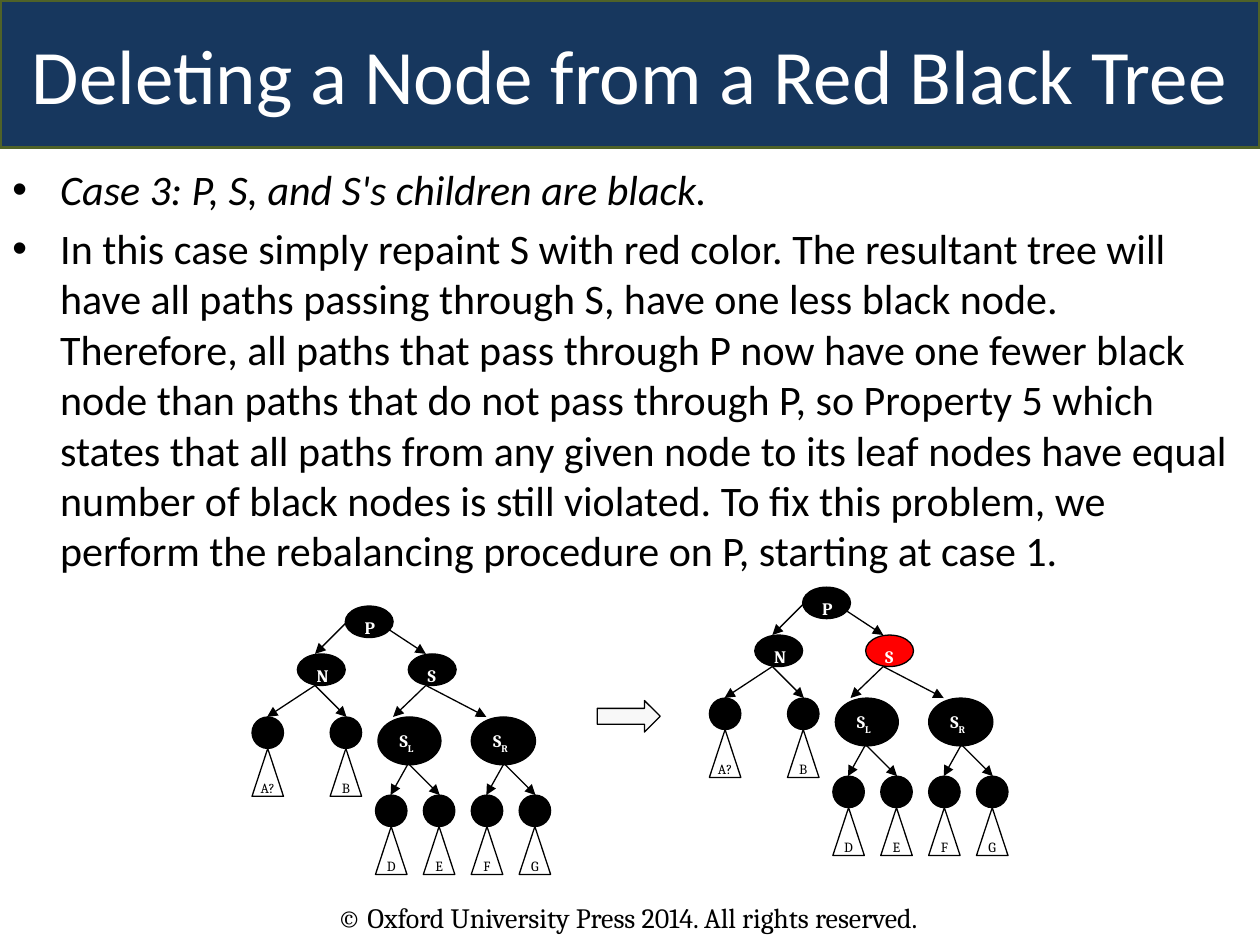
"""Build a slide on case 3 of deleting a node from a red black tree."""
from typing import NamedTuple

from lxml import etree
from pptx import Presentation
from pptx.dml.color import RGBColor
from pptx.enum.shapes import MSO_CONNECTOR, MSO_SHAPE
from pptx.enum.text import MSO_ANCHOR, PP_ALIGN
from pptx.oxml.ns import qn
from pptx.util import Inches, Pt

BLACK = RGBColor(0x00, 0x00, 0x00)
WHITE = RGBColor(0xFF, 0xFF, 0xFF)
RED = RGBColor(0xFF, 0x00, 0x00)
NAVY = RGBColor(0x17, 0x37, 0x5E)
OLIVE = RGBColor(0x4F, 0x62, 0x28)
PALE = RGBColor(0xF8, 0xF8, 0xF8)

OVAL = MSO_SHAPE.OVAL
TRIANGLE = MSO_SHAPE.FLOWCHART_EXTRACT
ARROW = MSO_SHAPE.RIGHT_ARROW
STRAIGHT = MSO_CONNECTOR.STRAIGHT
TOP = MSO_ANCHOR.TOP
MIDDLE = MSO_ANCHOR.MIDDLE
BOTTOM = MSO_ANCHOR.BOTTOM
LEFT = PP_ALIGN.LEFT
CENTER = PP_ALIGN.CENTER

TITLE_ONLY = 5
LEAF_SIZE = 0.25
TRIANGLE_HEIGHT = 0.38


class Node(NamedTuple):
    left: float
    top: float
    width: float
    height: float
    label: str
    subscript: str = ""


class Leaf(NamedTuple):
    left: float
    top: float
    label: str


class Edges(NamedTuple):
    x: float
    y: float
    end_y: float
    end_xs: tuple[float, ...]


NODES = (
    Node(0.74, 0, 0.38, 0.25, "P"),
    Node(0.36, 0.38, 0.38, 0.25, "N"),
    Node(1.24, 0.38, 0.38, 0.25, "S"),
    Node(1, 0.88, 0.5, 0.38, "S", "L"),
    Node(1.74, 0.88, 0.51, 0.38, "S", "R"),
)
LEAVES = (
    Leaf(0, 0.88, "A?"),
    Leaf(0.62, 0.88, "B"),
    *(Leaf(0.98 + 0.38 * index, 1.5, label) for index, label in enumerate("DEFG")),
)
EDGES = (
    Edges(0.75, 0.13, 0.38, (0.5,)),
    Edges(1, 0.13, 0.38, (1.38,)),
    Edges(0.5, 0.63, 0.88, (0.12, 0.75)),
    Edges(1.38, 0.63, 0.88, (1.12, 1.86)),
    Edges(1.24, 1.25, 1.5, (1.1, 1.49)),
    Edges(2, 1.25, 1.5, (1.86, 2.25)),
)
BULLETS = (
    ("Case 3: P, S, and S's children are black.", True),
    ("In this case simply repaint S with red color. The resultant tree will have all "
     "paths passing through S, have one less black node. Therefore, all paths that pass "
     "through P now have one fewer black node than paths that do not pass through P, so "
     "Property 5 which states that all paths from any given node to its leaf nodes have "
     "equal number of black nodes is still violated. To fix this problem, we perform the "
     "rebalancing procedure on P, starting at case 1.", False),
)


def add_text(paragraph, text: str, *, size: float, face: str, color: RGBColor = BLACK,
             bold: bool = False, italic: bool = False, align=LEFT, baseline: int = 0) -> None:
    """Append one formatted span to a paragraph."""
    paragraph.alignment = align
    span = paragraph.add_run()
    span.text = text
    font = span.font
    font.size, font.name, font.bold, font.italic = Pt(size), face, bold, italic
    font.color.rgb = color
    if baseline:
        font._element.set("baseline", str(baseline * 1000))


def add_figure(page, kind, left: float, top: float, width: float, height: float,
               fill: RGBColor):
    """Add a filled shape with a thin black outline."""
    shape = page.shapes.add_shape(
        kind, Inches(left), Inches(top), Inches(width), Inches(height))
    shape.shadow.inherit = False
    shape.fill.solid()
    shape.fill.fore_color.rgb = fill
    shape.line.color.rgb = BLACK
    shape.line.width = Pt(0.75)
    shape.text_frame.vertical_anchor = TOP
    return shape


def add_arrow(page, start_x: float, start_y: float, end_x: float, end_y: float) -> None:
    """Add a thin black line with an arrowhead at its end."""
    line = page.shapes.add_connector(
        STRAIGHT, Inches(start_x), Inches(start_y), Inches(end_x), Inches(end_y))
    line.line.color.rgb = BLACK
    line.line.width = Pt(0.75)
    etree.SubElement(line.line._get_or_add_ln(), qn("a:tailEnd"), type="triangle")
    etree.SubElement(line._element.spPr, qn("a:effectLst"))


def add_leaf(page, left: float, top: float, label: str) -> None:
    """Draw a black circle above a triangle whose label stays on one line."""
    add_figure(page, OVAL, left, top, LEAF_SIZE, LEAF_SIZE, BLACK)
    triangle = add_figure(
        page, TRIANGLE, left, top + LEAF_SIZE, LEAF_SIZE, TRIANGLE_HEIGHT, WHITE)
    frame = triangle.text_frame
    frame.word_wrap = False
    frame.vertical_anchor = BOTTOM
    frame.margin_left = frame.margin_right = frame.margin_top = frame.margin_bottom = 0
    add_text(frame.paragraphs[0], label, size=8, face="Cambria", align=CENTER)


def add_tree(page, left: float, top: float, sibling_color: RGBColor) -> None:
    """Draw the whole tree with its sibling node S in the given colour."""
    for edges in EDGES:
        for end_x in edges.end_xs:
            add_arrow(page, left + edges.x, top + edges.y, left + end_x, top + edges.end_y)
    for node in NODES:
        is_sibling = node.label == "S" and not node.subscript
        oval = add_figure(page, OVAL, left + node.left, top + node.top, node.width,
                          node.height, sibling_color if is_sibling else BLACK)
        paragraph = oval.text_frame.paragraphs[0]
        style = {"size": 10, "face": "Cambria", "color": WHITE, "bold": True}
        add_text(paragraph, node.label, **style)
        if node.subscript:
            add_text(paragraph, node.subscript, baseline=-25, **style)
    for leaf in LEAVES:
        add_leaf(page, left + leaf.left, top + leaf.top, leaf.label)


def add_title(page) -> None:
    """Format the title placeholder as a banner across the top."""
    title = page.shapes.title
    title.left, title.top = Inches(0), Inches(0)
    title.width, title.height = Inches(10), Inches(1.17)
    title.fill.solid()
    title.fill.fore_color.rgb = NAVY
    title.line.color.rgb = OLIVE
    title.line.width = Pt(2)
    title.text_frame.vertical_anchor = MIDDLE
    add_text(title.text_frame.paragraphs[0], "Deleting a Node from a Red Black Tree",
             size=44, face="Calibri", color=WHITE, align=CENTER)


def add_box(page, left: float, top: float, width: float, height: float):
    """Add a wrapping text box and return its text frame."""
    box = page.shapes.add_textbox(Inches(left), Inches(top), Inches(width), Inches(height))
    box.text_frame.word_wrap = True
    return box.text_frame


def add_bullets(page) -> None:
    """Add the bulleted explanation."""
    frame = add_box(page, 0, 1.25, 9.86, 3.08)
    for index, (text, italic) in enumerate(BULLETS):
        paragraph = frame.add_paragraph() if index else frame.paragraphs[0]
        properties = paragraph._p.get_or_add_pPr()
        properties.set("marL", str(Inches(0.38)))
        properties.set("indent", str(Inches(-0.38)))
        etree.SubElement(properties, qn("a:buFont"), typeface="Arial")
        etree.SubElement(properties, qn("a:buChar"), char="•")
        if index:
            paragraph.space_before = Pt(4.8)
        add_text(paragraph, text, size=24, face="Calibri", italic=italic)


def main() -> None:
    """Build and save the deck."""
    deck = Presentation()
    deck.slide_width, deck.slide_height = Inches(10), Inches(7.5)
    page = deck.slides.add_slide(deck.slide_layouts[TITLE_ONLY])
    add_title(page)
    add_bullets(page)
    add_tree(page, 2, 4.81, BLACK)
    add_figure(page, ARROW, 4.74, 5.56, 0.5, 0.25, PALE)
    add_tree(page, 5.63, 4.66, RED)
    footer = add_box(page, 2.58, 7.1, 5.92, 0.37)
    add_text(footer.paragraphs[0], "© Oxford University Press 2014. All rights reserved.",
             size=16, face="Cambria")
    deck.save("out.pptx")


if __name__ == "__main__":
    main()
